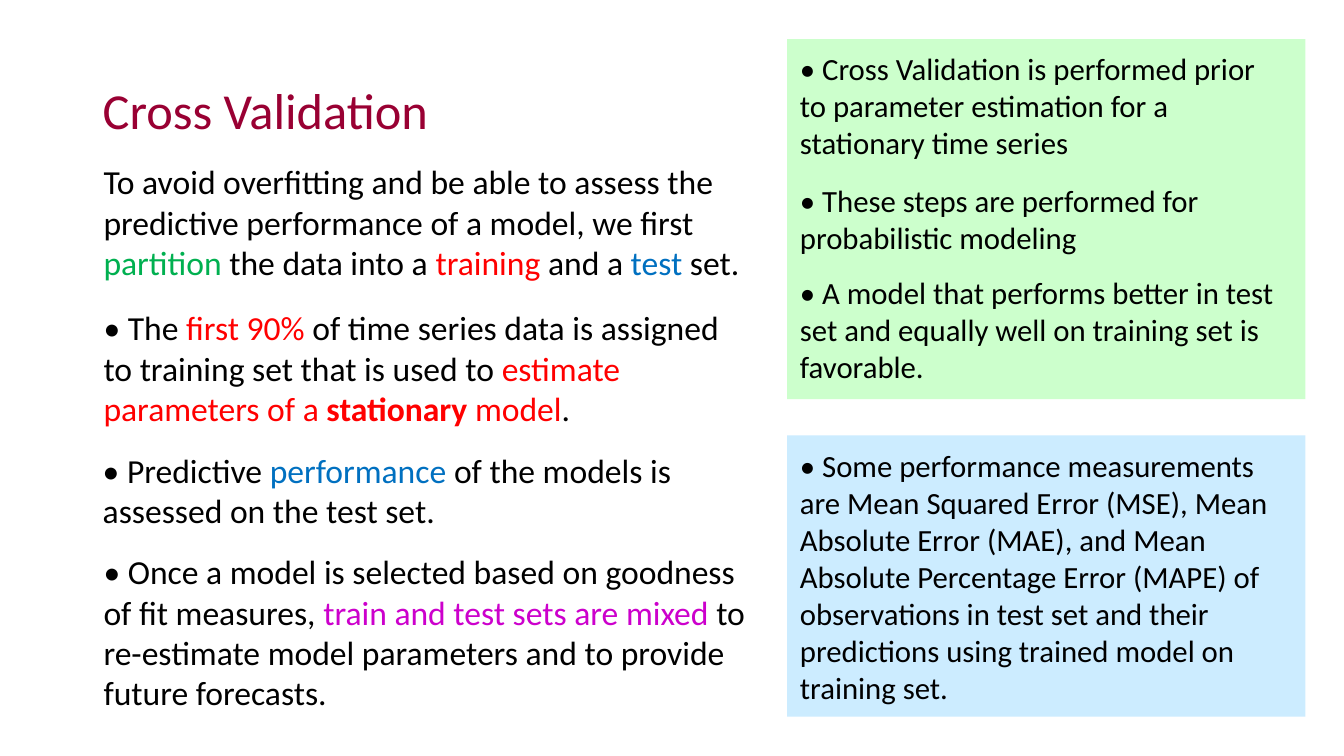
from pptx import Presentation
from pptx.dml.color import RGBColor
from pptx.enum.shapes import MSO_SHAPE
from pptx.enum.text import MSO_ANCHOR, MSO_AUTO_SIZE, PP_ALIGN
from pptx.util import Cm, Pt

BLACK, MAROON = "000000", "990033"
RED, GREEN, BLUE, MAGENTA = "FF0000", "00B050", "0070C0", "CC00CC"
PALE_GREEN, PALE_BLUE = "CCFFCC", "CCECFF"


def rgb(hex_code):
    return RGBColor.from_string(hex_code)


def write(paragraph, text, size=24, color=BLACK, bold=False, font="Calibri"):
    run = paragraph.add_run()
    run.text = text
    run.font.name = font
    run.font.size = Pt(size)
    run.font.bold = bold
    run.font.color.rgb = rgb(color)


class LectureSlide:
    body_size = 24
    note_size = 22

    def __init__(self, deck):
        self.shapes = deck.slides.add_slide(deck.slide_layouts[6]).shapes

    def text_box(self, left, top, width, height):
        frame = self.shapes.add_textbox(Cm(left), Cm(top), Cm(width), Cm(height)).text_frame
        frame.word_wrap = True
        frame.paragraphs[0].alignment = PP_ALIGN.LEFT
        return frame

    def title(self, text, left, top, width, height):
        frame = self.text_box(left, top, width, height)
        frame.vertical_anchor = MSO_ANCHOR.MIDDLE
        frame.paragraphs[0].line_spacing = 0.9
        write(frame.paragraphs[0], text, size=36, color=MAROON)

    def statement(self, pieces, left, top, width, lines, size=body_size):
        height = round(size * (lines * 0.0425 + 0.0113), 2)
        frame = self.text_box(left, top, width, height)
        frame.auto_size = MSO_AUTO_SIZE.SHAPE_TO_FIT_TEXT
        for text, *emphasis in pieces:
            write(frame.paragraphs[0], text, size, *emphasis)

    def panel(self, color, top, height, notes, left=19.84, width=13.06):
        background = self.shapes.add_shape(
            MSO_SHAPE.RECTANGLE, Cm(left), Cm(top), Cm(width), Cm(height))
        background.shadow.inherit = False
        background.fill.solid()
        background.fill.fore_color.rgb = rgb(color)
        background.line.fill.background()
        for note_top, lines, text in notes:
            self.statement([(text,)], left + 0.07, note_top, 12.52, lines, self.note_size)


def main():
    deck = Presentation()
    deck.slide_width, deck.slide_height = Cm(33.87), Cm(19.05)
    lecture = LectureSlide(deck)

    lecture.title("Cross Validation", 2.34, 1.02, 14.61, 3.68)

    lecture.statement([
        ("To avoid overﬁtting and be able to assess the predictive performance "
         "of a model, we ﬁrst ",),
        ("partition", GREEN),
        (" the data into a ",),
        ("training", RED),
        (" and a ",),
        ("test", BLUE),
        (" set.",),
    ], 2.36, 3.94, 16.69, lines=3)
    lecture.statement([
        ("• The ",),
        ("first 90% ", RED),
        ("of time series data is assigned to training set that is used to ",),
        ("estimate parameters of a ", RED),
        ("stationary", RED, True),
        (" model", RED),
        (".",),
    ], 2.36, 7.62, 16.69, lines=3)
    lecture.statement([
        ("• Predictive ",),
        ("performance", BLUE),
        (" of the models is assessed on the test set.",),
    ], 2.34, 11.2, 16.92, lines=2)
    lecture.statement([
        ("• Once a model is selected based on goodness of fit measures, ",),
        ("train and test sets are mixed ", MAGENTA),
        ("to re-estimate model parameters and to provide future forecasts.",),
    ], 2.36, 13.77, 16.92, lines=4)

    lecture.panel(PALE_GREEN, 0.99, 9.07, [
        (1.14, 3, "• Cross Validation is performed prior to parameter estimation "
                  "for a stationary time series"),
        (4.45, 2, "• These steps are performed for probabilistic modeling"),
        (6.78, 3, "• A model that performs better in test set and equally well "
                  "on training set is favorable."),
    ])
    lecture.panel(PALE_BLUE, 10.97, 7.09, [
        (11.13, 7, "• Some performance measurements are Mean Squared Error (MSE), "
                   "Mean Absolute Error (MAE), and Mean Absolute Percentage Error "
                   "(MAPE) of observations in test set and their predictions using "
                   "trained model on training set."),
    ])

    deck.save("out.pptx")


if __name__ == "__main__":
    main()
